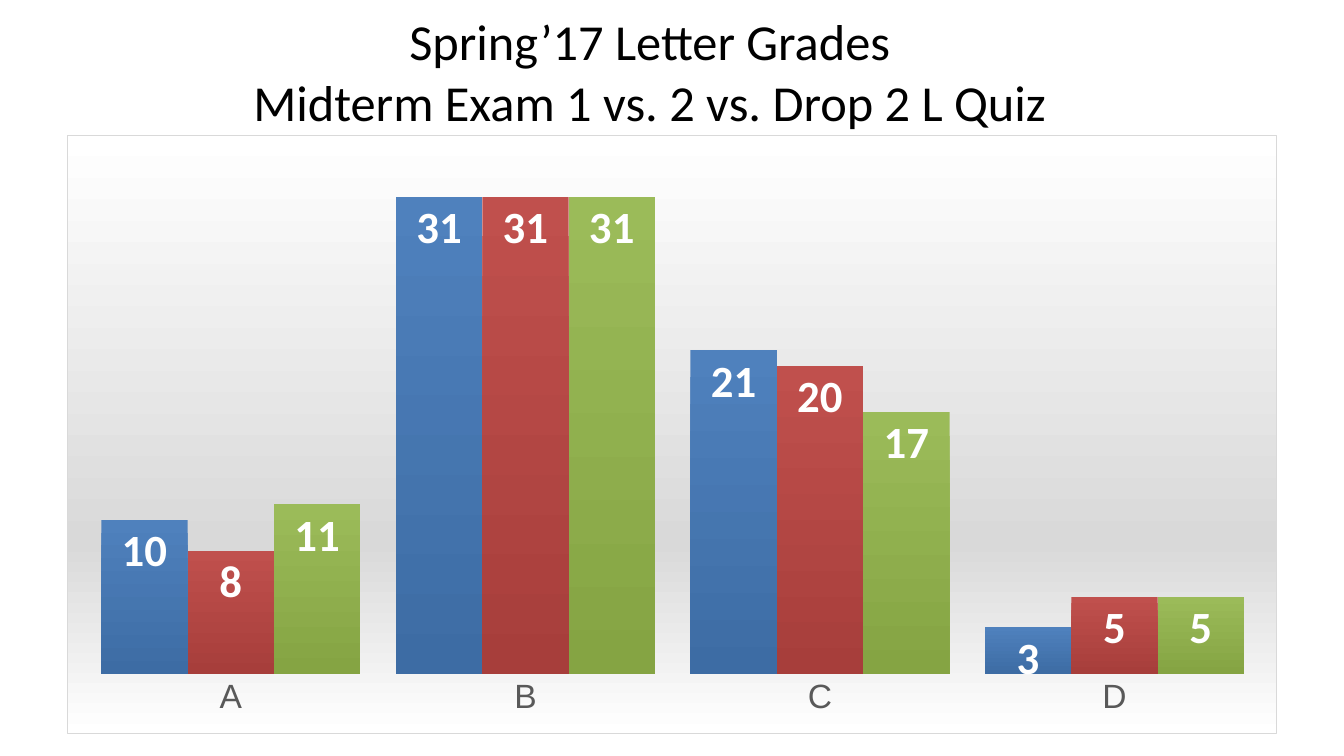
from lxml.etree import SubElement
from pptx import Presentation
from pptx.chart.data import CategoryChartData
from pptx.dml.color import RGBColor
from pptx.enum.chart import XL_CHART_TYPE, XL_LABEL_POSITION, XL_TICK_MARK
from pptx.enum.text import MSO_ANCHOR, PP_ALIGN
from pptx.oxml import parse_xml
from pptx.oxml.ns import nsdecls, qn
from pptx.util import Cm, Pt

COLORS = {
    "text": "000000", "axis": "595959", "label": "FFFFFF",
    "panel": "FFFFFF", "shade": "D9D9D9",
    "blue": "4F81BD", "deep blue": "3D6CA4",
    "red": "C0504D", "deep red": "A73E3B",
    "green": "9BBB59", "deep green": "85A443",
}
GRADES = ["A", "B", "C", "D"]
SCORES = [
    ("Series 1", (10, 31, 21, 3), "blue"),
    ("Series 2", (8, 31, 20, 5), "red"),
    ("Series 3", (11, 31, 17, 5), "green"),
]


def add_gradient(properties, stops):
    """Append a top-to-bottom gradient of (percent, colour name) stops."""
    fill = SubElement(properties, qn("a:gradFill"), rotWithShape="1")
    stop_list = SubElement(fill, qn("a:gsLst"))
    for percent, color in stops:
        stop = SubElement(stop_list, qn("a:gs"), pos=str(percent * 1000))
        SubElement(stop, qn("a:srgbClr"), val=COLORS[color])
    SubElement(fill, qn("a:lin"), ang="5400000", scaled="0")


class GradeSlide:
    font = "Calibri"
    axis_font = "Arial"

    def __init__(self, deck):
        self.slide = deck.slides.add_slide(deck.slide_layouts[6])

    def style(self, font, size, color, name=None, bold=False):
        font.name = name or self.font
        font.size = Pt(size)
        font.bold = bold
        font.color.rgb = RGBColor.from_string(COLORS[color])

    def title(self, text, left, top, width, height):
        frame = self.slide.shapes.add_textbox(left, top, width, height).text_frame
        frame.word_wrap = True
        frame.vertical_anchor = MSO_ANCHOR.MIDDLE
        frame.text = text
        heading = frame.paragraphs[0]
        heading.alignment = PP_ALIGN.CENTER
        for run in heading.runs:
            self.style(run.font, 36, "text")

    def column_chart(self, left, top, width, height):
        data = CategoryChartData(number_format="0")
        data.categories = GRADES
        for name, counts, _ in SCORES:
            data.add_series(name, counts)
        chart = self.slide.shapes.add_chart(
            XL_CHART_TYPE.COLUMN_CLUSTERED, left, top, width, height, data).chart
        chart.has_title = False
        chart.has_legend = False
        self.style(chart.font, 10, "text", self.axis_font)
        self.axes(chart)
        plot = chart.plots[0]
        plot.gap_width = 41
        plot.overlap = 0
        plot.vary_by_categories = False
        for series, (_, _, color) in zip(plot.series, SCORES):
            self.columns(series, color)
        self.panel(chart)
        self.place_plot(chart, x=0.013, y=0, w=0.975, h=0.9)

    def axes(self, chart):
        grades = chart.category_axis
        grades.major_tick_mark = grades.minor_tick_mark = XL_TICK_MARK.NONE
        grades.format.line.fill.background()
        self.style(grades.tick_labels.font, 24, "axis", self.axis_font)
        counts = chart.value_axis
        counts.minimum_scale, counts.maximum_scale = 0, 35
        counts.has_major_gridlines = False
        counts.visible = False

    def columns(self, series, color):
        series.invert_if_negative = False
        add_gradient(series.format.fill and series._element.get_or_add_spPr(),
                     [(0, color), (100, f"deep {color}")])
        labels = series.data_labels
        labels.show_value = True
        labels.position = XL_LABEL_POSITION.INSIDE_END
        self.style(labels.font, 32, "label", bold=True)

    def panel(self, chart):
        """Give the chart area its shaded background and thin border."""
        area = parse_xml(f"<c:spPr {nsdecls('c', 'a')}/>")
        add_gradient(area, [(0, "panel"), (68, "shade"), (100, "panel")])
        border = SubElement(area, qn("a:ln"), w=str(Pt(0.75)))
        fill = SubElement(border, qn("a:solidFill"))
        SubElement(fill, qn("a:srgbClr"), val=COLORS["shade"])
        chart._chartSpace.find(qn("c:chart")).addnext(area)

    def place_plot(self, chart, **fractions):
        """Fix the inner plot area as fractions of the chart."""
        plot_area = chart._chartSpace.find(qn("c:chart")).find(qn("c:plotArea"))
        for automatic in plot_area.findall(qn("c:layout")):
            plot_area.remove(automatic)
        layout = parse_xml(f"<c:layout {nsdecls('c')}/>")
        manual = SubElement(layout, qn("c:manualLayout"))
        settings = {"layoutTarget": "inner", "xMode": "edge", "yMode": "edge"}
        for tag, value in {**settings, **fractions}.items():
            SubElement(manual, qn(f"c:{tag}"), val=str(value))
        plot_area.insert(0, layout)


def main():
    deck = Presentation()
    deck.slide_width, deck.slide_height = Cm(33.87), Cm(19.05)
    grades = GradeSlide(deck)
    grades.title("Spring’17 Letter Grades\vMidterm Exam 1 vs. 2 vs. Drop 2 L Quiz",
                 Cm(1.7), Cm(0.2), Cm(29.36), Cm(3.18))
    grades.column_chart(Cm(1.7), Cm(3.39), Cm(30.48), Cm(15.11))
    deck.save("out.pptx")


if __name__ == "__main__":
    main()
